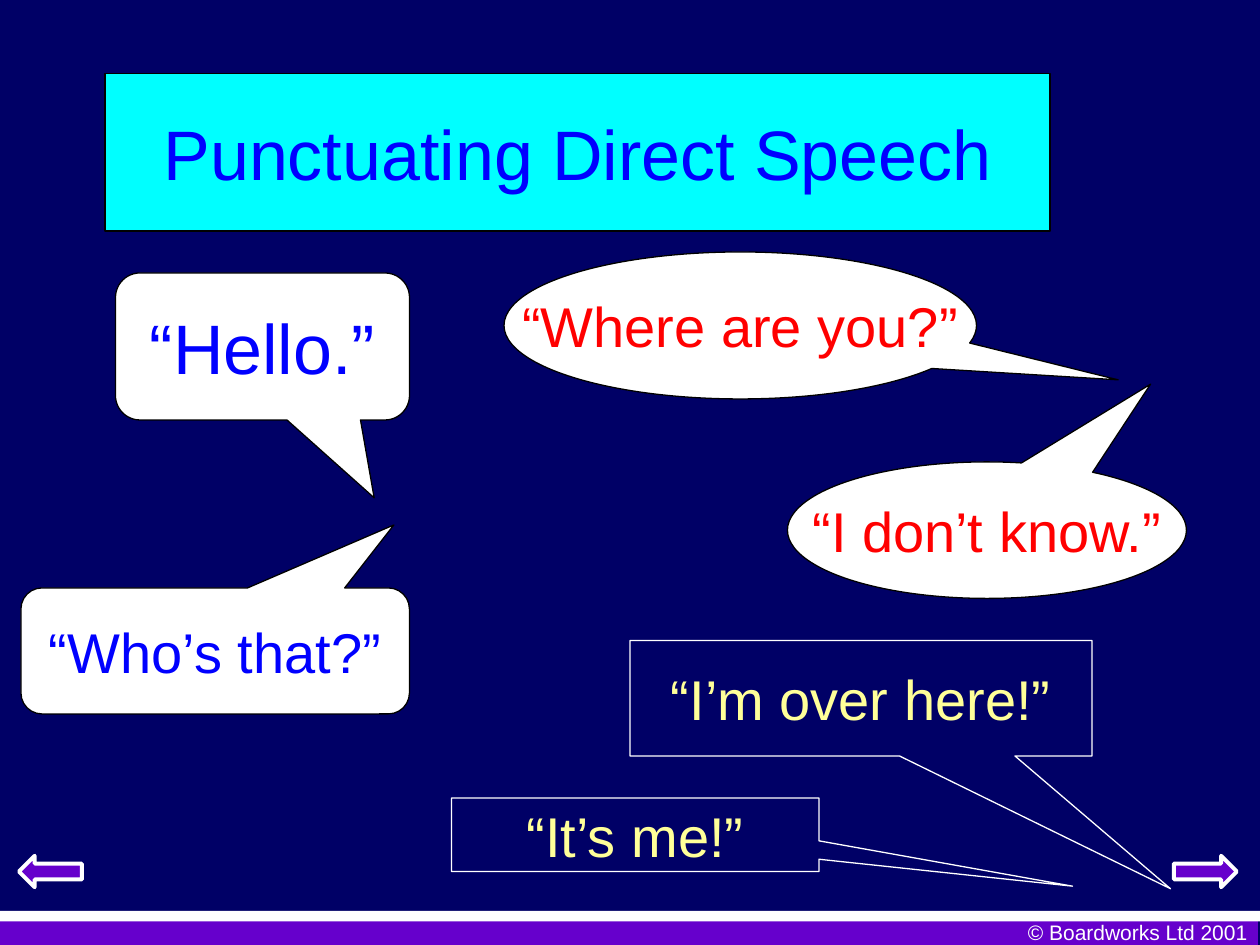
from pptx import Presentation
from pptx.dml.color import RGBColor
from pptx.enum.shapes import MSO_SHAPE
from pptx.enum.text import MSO_ANCHOR, PP_ALIGN
from pptx.util import Inches, Pt

NAVY = RGBColor(0x00, 0x00, 0x66)
PURPLE = RGBColor(0x66, 0x00, 0xCC)
CYAN = RGBColor(0x00, 0xFF, 0xFF)
BLUE = RGBColor(0x00, 0x00, 0xFF)
RED = RGBColor(0xFF, 0x00, 0x00)
YELLOW = RGBColor(0xFF, 0xFF, 0x99)
WHITE = RGBColor(0xFF, 0xFF, 0xFF)
BLACK = RGBColor(0x00, 0x00, 0x00)

# The slide is a grid of 120 columns by 90 rows
COLUMN = ROW = Inches(10) // 120


def write(shape, text, size=32, color=BLUE, align=PP_ALIGN.CENTER, wrap=False):
    frame = shape.text_frame
    frame.word_wrap = wrap
    frame.vertical_anchor = MSO_ANCHOR.MIDDLE
    frame.margin_left = frame.margin_right = Inches(0.1)
    frame.margin_top = frame.margin_bottom = Inches(0.05)
    paragraph = frame.paragraphs[0]
    paragraph.alignment = align
    run = paragraph.add_run()
    run.text = text
    run.font.name = "Arial"
    run.font.size = Pt(size)
    run.font.color.rgb = color


def add_filled(kind, box, fill, line=None, width=0.75, adjustments=()):
    left, top, columns, rows = box
    shape = slide.shapes.add_shape(
        kind, int(left * COLUMN), int(top * ROW), int(columns * COLUMN), int(rows * ROW))
    shape.shadow.inherit = False
    shape.fill.solid()
    shape.fill.fore_color.rgb = fill
    if line is None:
        shape.line.fill.background()
    else:
        shape.line.color.rgb = line
        shape.line.width = Pt(width)
    for index, value in enumerate(adjustments):
        shape.adjustments[index] = value
    return shape


presentation = Presentation()
presentation.slide_width = 120 * COLUMN
presentation.slide_height = 90 * ROW
slide = presentation.slides.add_slide(presentation.slide_layouts[5])
slide.background.fill.solid()
slide.background.fill.fore_color.rgb = NAVY

# Footer and navigation arrows
add_filled(MSO_SHAPE.RECTANGLE, (0, 87.7, 119.8, 2.3), PURPLE)
copyright_box = slide.shapes.add_textbox(92 * COLUMN, 87 * ROW, 28 * COLUMN, int(3.6 * ROW))
write(copyright_box, "© Boardworks Ltd 2001", size=12, color=WHITE,
      align=PP_ALIGN.RIGHT, wrap=True)
add_filled(MSO_SHAPE.RECTANGLE, (0, 86.75, 120, 1), WHITE)
for left, rotation in ((111.8, 0), (1.8, 180)):
    arrow = add_filled(MSO_SHAPE.RIGHT_ARROW, (left, 81.5, 6, 3), PURPLE, WHITE, 2.25)
    arrow.rotation = rotation

# Title
title = slide.shapes.title
title.left, title.top = 10 * COLUMN, 7 * ROW
title.width, title.height = 90 * COLUMN, 15 * ROW
title.fill.solid()
title.fill.fore_color.rgb = CYAN
title.line.color.rgb = BLACK
title.line.width = Pt(0.75)
write(title, "Punctuating Direct Speech", size=40)

# Speech bubbles: one style per conversation
ROUNDED = (MSO_SHAPE.ROUNDED_RECTANGULAR_CALLOUT, WHITE, BLACK, BLUE)
OVAL = (MSO_SHAPE.OVAL_CALLOUT, WHITE, BLACK, RED)
SQUARE = (MSO_SHAPE.RECTANGULAR_CALLOUT, NAVY, WHITE, YELLOW)
bubbles = [
    ("“Hello.”", 40, ROUNDED, (11, 26, 28, 14), (0.38, 1.03)),
    ("“Where are you?”", 32, OVAL, (48, 24, 45, 14), (0.8, 0.37)),
    ("“I’m over here!”", 32, SQUARE, (60, 61, 44, 11), (0.67, 1.65)),
    ("“Who’s that?”", 32, ROUNDED, (2, 56, 37, 12), (0.46, -1)),
    ("“I don’t know.”", 32, OVAL, (75, 44, 38, 13), (0.41, -1.07)),
    ("“It’s me!”", 32, SQUARE, (43, 76, 35, 7), (1.19, 0.7)),
]
for text, size, (kind, fill, line, color), box, tail in bubbles:
    bubble = add_filled(kind, box, fill, line, adjustments=tail)
    write(bubble, text, size=size, color=color)

presentation.save("out.pptx")
